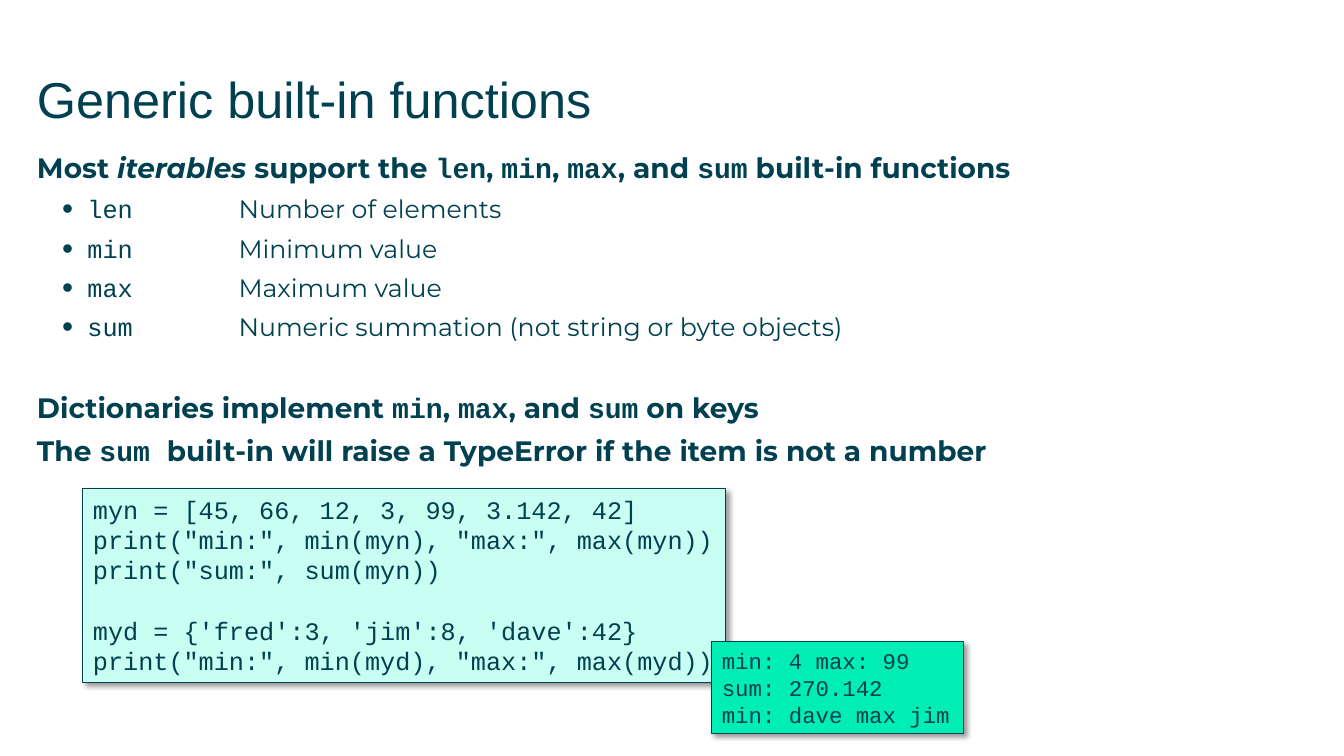
from dataclasses import dataclass

from lxml import etree
from pptx import Presentation
from pptx import util as u
from pptx.dml import color
from pptx.enum import shapes, text
from pptx.oxml import ns

PX = 914400 / 100.8


def px(value):
    return u.Emu(round(value * PX))


@dataclass(frozen=True)
class Theme:
    ink: str = "004050"
    code_fill: str = "C8FFF2"
    output_fill: str = "00EDB5"
    shadow: str = "000000"
    title_font: str = "Arial"
    body_font: str = "Montserrat"
    code_font: str = "Courier New"
    title_size: int = 36
    lead_size: int = 20
    code_size: int = 18
    output_size: int = 16


def apply(target, values):
    for name, value in values.items():
        setattr(target, name, value)


def add_element(parent, tag, **attributes):
    return etree.SubElement(parent, ns.qn(tag), attributes)


class SlideBuilder:
    def __init__(self, slide, theme):
        self.slide = slide
        self.theme = theme

    def run(self, paragraph, words, font, size, **extra):
        run = paragraph.add_run()
        run.text = words
        apply(run.font, {"name": font, "size": u.Pt(size), **extra})
        run.font.color.rgb = color.RGBColor.from_string(self.theme.ink)

    def text_box(self, left, top, width, height, inset_top=0):
        frame = self.slide.shapes.add_textbox(*map(px, (left, top, width, height))).text_frame
        apply(frame, {"word_wrap": True, "margin_left": 0, "margin_right": 0,
                      "margin_top": px(inset_top), "margin_bottom": 0})
        return frame

    def title(self, words, *box):
        frame = self.text_box(*box, inset_top=7)
        self.run(frame.paragraphs[0], words, self.theme.title_font, self.theme.title_size)

    def rich_text(self, paragraph, words, size, bold):
        for code_index, part in enumerate(words.split("`")):
            font = self.theme.code_font if code_index % 2 else self.theme.body_font
            for italic_index, piece in enumerate(part.split("*")):
                if piece:
                    self.run(paragraph, piece, font, size, bold=bold,
                             italic=italic_index % 2 == 1)

    def bullet(self, paragraph):
        properties = paragraph._p.get_or_add_pPr()
        apply_indent = {"marL": u.Inches(0.5), "indent": u.Inches(-0.25),
                        "defTabSz": u.Inches(1)}
        for name, value in apply_indent.items():
            properties.set(name, str(value))
        add_element(properties, "a:buSzPct", val="125000")
        add_element(properties, "a:buFont", typeface="Arial")
        add_element(properties, "a:buChar", char="•")
        tabs = add_element(properties, "a:tabLst")
        for inches in (1, 2):
            add_element(tabs, "a:tab", pos=str(u.Inches(inches)), algn="l")

    def body(self, sections, *box):
        frame = self.text_box(*box)
        paragraph = frame.paragraphs[0]
        for index, (is_bullet, gap, words) in enumerate(sections):
            if index:
                paragraph = frame.add_paragraph()
            if is_bullet:
                self.bullet(paragraph)
            apply(paragraph, {"space_before": u.Pt(gap), "space_after": u.Pt(6.5)})
            size = self.theme.code_size if is_bullet else self.theme.lead_size
            self.rich_text(paragraph, words, size, not is_bullet)

    def shadow(self, shape):
        shape.shadow.inherit = False
        effects = shape._element.spPr.find(ns.qn("a:effectLst"))
        outer = add_element(effects, "a:outerShdw", blurRad=str(u.Pt(4)), dist=str(u.Pt(3)),
                            dir="2700000", algn="tl", rotWithShape="0")
        shade = add_element(outer, "a:srgbClr", val=self.theme.shadow)
        add_element(shade, "a:alpha", val="40000")

    def code_panel(self, blocks, size, fill, *box):
        shape = self.slide.shapes.add_shape(shapes.MSO_SHAPE.RECTANGLE, *map(px, box))
        shape.fill.solid()
        shape.fill.fore_color.rgb = color.RGBColor.from_string(fill)
        shape.line.color.rgb = color.RGBColor.from_string(self.theme.ink)
        shape.line.width = u.Pt(0.75)
        self.shadow(shape)
        frame = shape.text_frame
        apply(frame, {"word_wrap": False, "vertical_anchor": text.MSO_ANCHOR.TOP,
                      "auto_size": text.MSO_AUTO_SIZE.SHAPE_TO_FIT_TEXT})
        line_height = u.Pt(size * 1.2)
        paragraph = None
        for block in blocks:
            for index, line in enumerate(block):
                starts_block = paragraph is not None and index == 0
                paragraph = frame.add_paragraph() if paragraph else frame.paragraphs[0]
                apply(paragraph, {"alignment": text.PP_ALIGN.LEFT, "line_spacing": line_height,
                                  "space_before": line_height if starts_block else u.Pt(0)})
                self.run(paragraph, line, self.theme.code_font, size)


def main():
    presentation = Presentation()
    apply(presentation, {"slide_width": px(1344), "slide_height": px(756)})
    theme = Theme()
    builder = SlideBuilder(presentation.slides.add_slide(presentation.slide_layouts[6]), theme)
    builder.title("Generic built-in functions", 37, 61, 1270, 89)

    functions = {
        "len": "Number of elements",
        "min": "Minimum value",
        "max": "Maximum value",
        "sum": "Numeric summation (not string or byte objects)",
    }
    builder.body([
        (False, 0, "Most *iterables* support the `len`, `min`, `max`, and `sum` built-in functions"),
        *((True, 0, f"`{name}`\t\t{meaning}") for name, meaning in functions.items()),
        (False, 28.4, "Dictionaries implement `min`, `max`, and `sum` on keys"),
        (False, 0, "The `sum `built-in will raise a TypeError if the item is not a number"),
    ], 37, 151, 1269, 546)

    builder.code_panel([
        ["myn = [45, 66, 12, 3, 99, 3.142, 42]",
         'print("min:", min(myn), "max:", max(myn))',
         'print("sum:", sum(myn))'],
        ["myd = {'fred':3, 'jim':8, 'dave':42}",
         'print("min:", min(myd), "max:", max(myd))'],
    ], theme.code_size, theme.code_fill, 83, 489, 643, 194)
    builder.code_panel([
        ["min: 4 max: 99", "sum: 270.142", "min: dave max jim"],
    ], theme.output_size, theme.output_fill, 712, 642, 252, 92)
    presentation.save("out.pptx")


if __name__ == "__main__":
    main()
